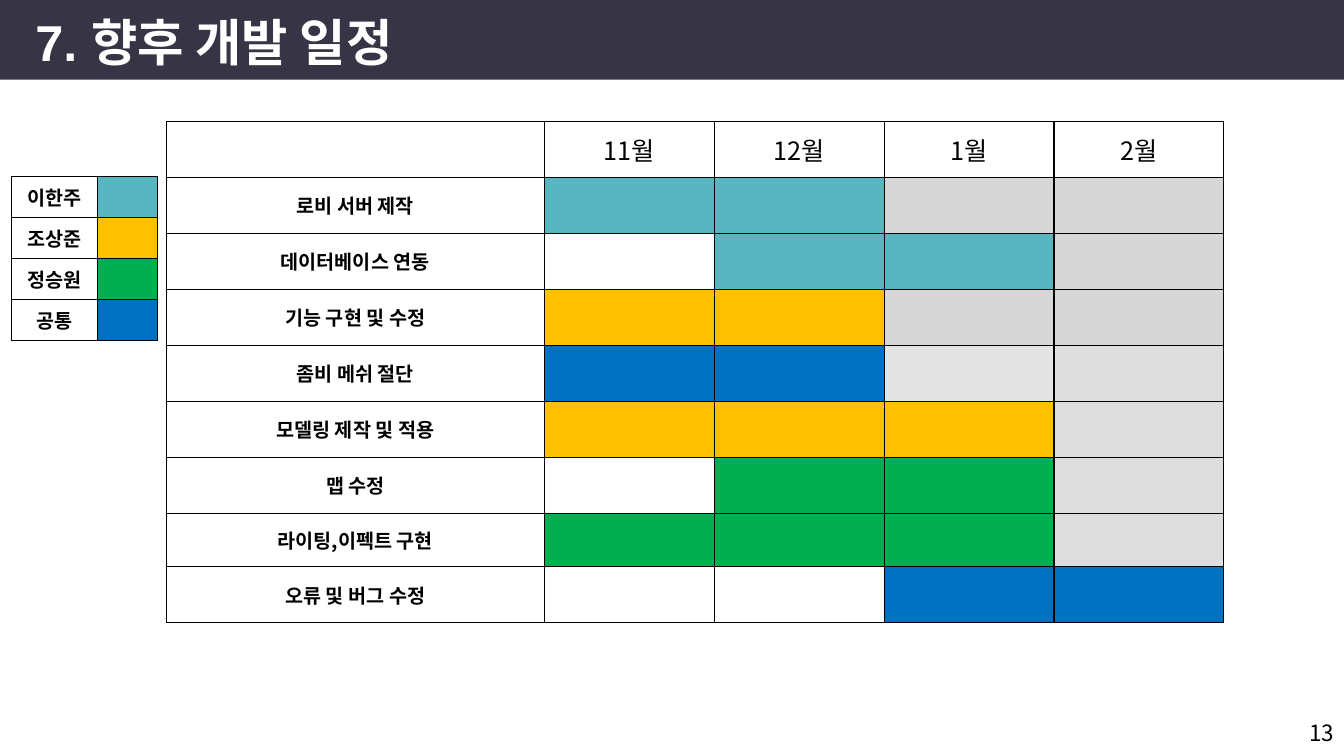
import pptx
import pptx.util
import pptx.dml.color
import pptx.enum.shapes
import pptx.enum.text
import pptx.oxml.ns
import lxml.etree

Cm = pptx.util.Cm
Pt = pptx.util.Pt
RGB = pptx.dml.color.RGBColor
Align = pptx.enum.text.PP_ALIGN
Anchor = pptx.enum.text.MSO_ANCHOR
qn = pptx.oxml.ns.qn

NAVY = RGB(0x37, 0x35, 0x45)
WHITE = RGB(0xFF, 0xFF, 0xFF)
BLACK = RGB(0x00, 0x00, 0x00)
TEAL = RGB(0x58, 0xB6, 0xC0)
GOLD = RGB(0xFF, 0xC0, 0x00)
GREEN = RGB(0x00, 0xB0, 0x50)
BLUE = RGB(0x00, 0x70, 0xC0)
GRAY = RGB(0xD7, 0xD7, 0xD8)
PALE = RGB(0xDD, 0xDE, 0xDD)
LIGHT = RGB(0xE3, 0xE4, 0xE3)
FONT = "Noto Sans CJK KR"


def style(para, size, color, bold=False, align=Align.CENTER, face=FONT):
    para.alignment = align
    font = para.font
    font.size, font.bold, font.name = Pt(size), bold, face
    font.color.rgb = color
    props = para._p.pPr.find(qn("a:defRPr"))
    lxml.etree.SubElement(props, qn("a:ea"), typeface=FONT)


def grid(left, top, widths, heights, rows):
    """Draw a bordered table; each entry is a text, a fill colour or None."""
    frame = slide.shapes.add_table(len(rows), len(widths), Cm(left), Cm(top),
                                   Cm(sum(widths)), Cm(sum(heights)))
    table = frame.table
    table.first_row = table.horz_banding = False
    for col, width in zip(table.columns, widths):
        col.width = Cm(width)
    for r, (entries, height) in enumerate(zip(rows, heights)):
        table.rows[r].height = Cm(height)
        for c, entry in enumerate(entries):
            cell = table.cell(r, c)
            cell.vertical_anchor = Anchor.MIDDLE
            # Borders come before the fill
            props = cell._tc.get_or_add_tcPr()
            for side in ("a:lnL", "a:lnR", "a:lnT", "a:lnB"):
                line = lxml.etree.SubElement(props, qn(side), w=str(Pt(1)))
                solid = lxml.etree.SubElement(line, qn("a:solidFill"))
                lxml.etree.SubElement(solid, qn("a:srgbClr"), val=str(BLACK))
            if isinstance(entry, RGB):
                cell.fill.solid()
                cell.fill.fore_color.rgb = entry
            else:
                cell.fill.background()
                cell.text = entry or ""
            month = bool(entry) and str(entry).endswith("월")
            style(cell.text_frame.paragraphs[0], 18 if month else 14,
                  BLACK, not month)


deck = pptx.Presentation()
deck.slide_width, deck.slide_height = Cm(33.87), Cm(19.05)
slide = deck.slides.add_slide(deck.slide_layouts[6])

# Title bar
bar = slide.shapes.add_shape(pptx.enum.shapes.MSO_SHAPE.RECTANGLE,
                             0, 0, deck.slide_width, Cm(2.01))
bar.shadow.inherit = False
bar.fill.solid()
bar.fill.fore_color.rgb = NAVY
bar.line.fill.background()

title = slide.shapes.add_textbox(Cm(0.64), Cm(0.15), Cm(10.34), Cm(1.8))
title.text_frame.word_wrap = False
title.text_frame.text = "7. 향후 개발 일정"
style(title.text_frame.paragraphs[0], 36, WHITE, True, Align.LEFT, "Arial")

# Schedule
plan = [
    (None, "11월", "12월", "1월", "2월"),
    ("로비 서버 제작", TEAL, TEAL, GRAY, GRAY),
    ("데이터베이스 연동", None, TEAL, TEAL, GRAY),
    ("기능 구현 및 수정", GOLD, GOLD, GRAY, GRAY),
    ("좀비 메쉬 절단", BLUE, BLUE, LIGHT, PALE),
    ("모델링 제작 및 적용", GOLD, GOLD, GOLD, PALE),
    ("맵 수정", None, GREEN, GREEN, PALE),
    ("라이팅,이펙트 구현", GREEN, GREEN, GREEN, PALE),
    ("오류 및 버그 수정", None, None, BLUE, BLUE),
]
grid(4.19, 3.06, [9.53] + [4.28] * 4, [1.41] * 7 + [1.35, 1.41], plan)

# Page number
page = slide.shapes.add_textbox(Cm(26.25), Cm(17.96), Cm(7.62), Cm(1.01))
page.text_frame.word_wrap = True
page.text_frame.vertical_anchor = Anchor.MIDDLE
page.text_frame.text = "13"
style(page.text_frame.paragraphs[0], 16, BLACK, align=Align.RIGHT)

# Owner legend
owners = [("이한주", TEAL), ("조상준", GOLD), ("정승원", GREEN), ("공통", BLUE)]
grid(0.28, 4.45, [2.18, 1.5], [1.03] * 4, owners)

deck.save("out.pptx")
